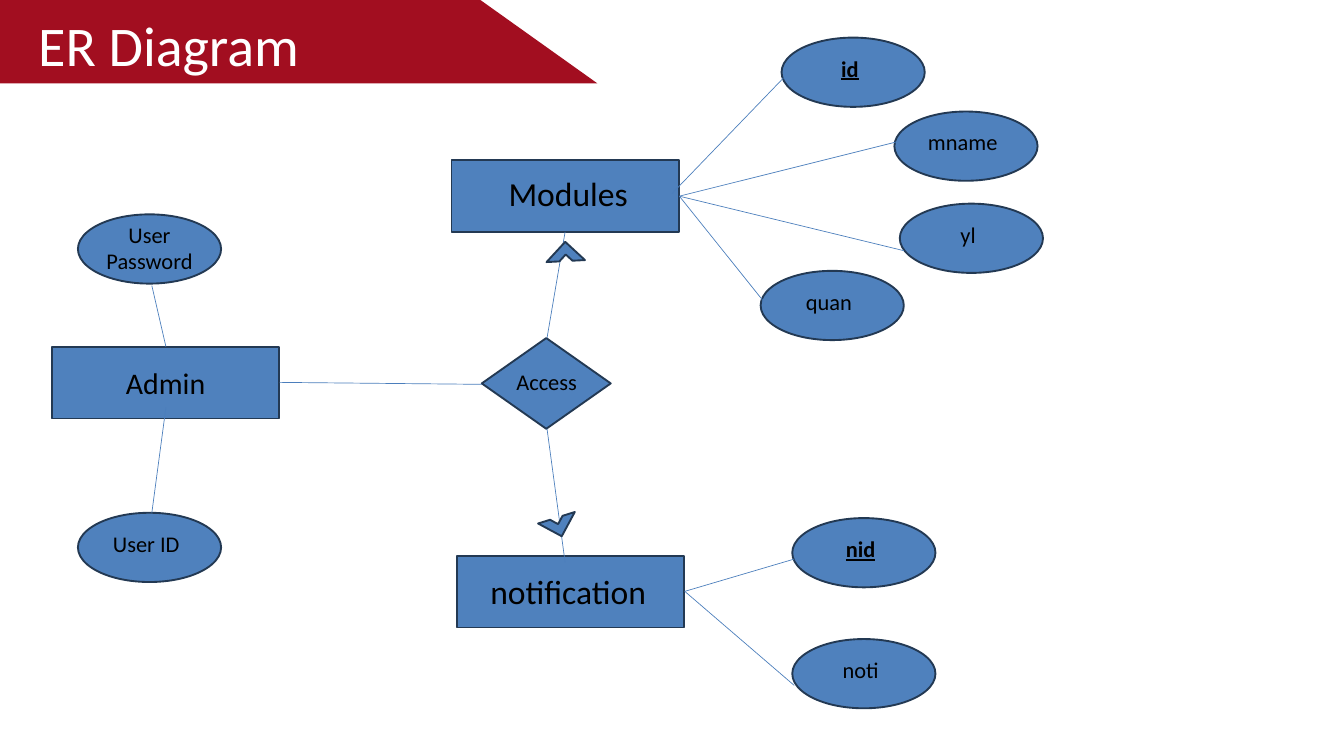
from dataclasses import dataclass

from lxml import etree
from pptx import Presentation
from pptx.dml.color import RGBColor
from pptx.enum.shapes import MSO_CONNECTOR, MSO_SHAPE
from pptx.enum.text import MSO_ANCHOR, PP_ALIGN
from pptx.oxml.ns import qn
from pptx.util import Pt

RECT, ELLIPSE = MSO_SHAPE.RECTANGLE, MSO_SHAPE.OVAL
DECISION, HALF_FRAME = MSO_SHAPE.FLOWCHART_DECISION, MSO_SHAPE.HALF_FRAME
STRAIGHT = MSO_CONNECTOR.STRAIGHT
TOP, MIDDLE = MSO_ANCHOR.TOP, MSO_ANCHOR.MIDDLE
LEFT, CENTER = PP_ALIGN.LEFT, PP_ALIGN.CENTER


@dataclass(frozen=True)
class Theme:
    font: str = "Calibri"
    banner: RGBColor = RGBColor(0xA2, 0x0E, 0x20)
    fill: RGBColor = RGBColor(0x4F, 0x81, 0xBD)
    outline: RGBColor = RGBColor(0x23, 0x39, 0x53)
    link: RGBColor = RGBColor(0x4B, 0x7E, 0xBC)
    ink: RGBColor = RGBColor(0, 0, 0)
    white: RGBColor = RGBColor(0xFF, 0xFF, 0xFF)
    title_size: int = 60
    entity_size: int = 36
    admin_size: int = 32
    label_size: int = 24


T = Theme()
ENTITY_SIZE, ENTITY_LABEL = (243.4, 77), (222.5, 53.3)
ATTR_SIZE, ATTR_LABEL = (153.4, 74.2), (141.8, 33.8)
ATTR_OFFSET = (2.3, 15.8)

# name, box position, label position, type size
ENTITIES = [
    ("Admin", (55.4, 371.5), (66.2, 383), T.admin_size),
    ("notification", (489.6, 595.4), (497.5, 607), T.entity_size),
    ("Modules", (483.8, 171.4), (497.5, 180.7), T.entity_size),
]
# name, position, is key, label offset
ATTRIBUTES = [
    ("User ID", (83.5, 549.4), False, ATTR_OFFSET),
    ("User Password", (83.5, 229.7), False, (5.8, 18.7)),
    ("noti", (848.9, 684.7), False, ATTR_OFFSET),
    ("nid", (848.9, 555.1), True, ATTR_OFFSET),
    ("quan", (815, 290.2), False, ATTR_OFFSET),
    ("id", (837.4, 40.3), True, ATTR_OFFSET),
    ("mname", (958.3, 119.5), False, ATTR_OFFSET),
    ("yl", (964.1, 218.2), False, ATTR_OFFSET),
]
MODULES_EDGE, NOTIFICATION_EDGE = (727.9, 210.2), (733.7, 633.6)
LINKS = [
    ((162.7, 306), (177.8, 371.5)),
    ((162.7, 549.4), (177.8, 436.3)),
    ((720, 207.4), (839.5, 83.5)),
    (MODULES_EDGE, (961.2, 151.9)),
    (MODULES_EDGE, (968.4, 268.6)),
    (MODULES_EDGE, (817.9, 322.6)),
    (NOTIFICATION_EDGE, (851, 599)),
    (NOTIFICATION_EDGE, (851, 734.4)),
    ((299.5, 409.7), (516.2, 411.8)),
    ((605.5, 248.4), (586.1, 362.2)),
    ((586.1, 459.4), (605.5, 602.6)),
]
# position, rotation
ARROWS = [((591.8, 265), 42.7), ((581.8, 540), 208.3)]


def add_node(s, kind, pos, size, rotation=0):
    sp = s.shapes.add_shape(kind, *map(Pt, pos + size))
    sp.shadow.inherit = False
    sp.rotation = rotation
    sp.fill.solid()
    sp.fill.fore_color.rgb = T.fill
    sp.line.color.rgb = T.outline
    sp.line.width = Pt(2)


def add_label(s, text, pos, size, pt, color=T.ink, key=False,
              align=CENTER, anchor=MIDDLE, inset=(7.2, 3.6), spacing=None):
    tf = s.shapes.add_textbox(*map(Pt, pos + size)).text_frame
    dx, dy = map(Pt, inset)
    frame = {"word_wrap": True, "vertical_anchor": anchor, "margin_left": dx,
             "margin_right": dx, "margin_top": dy, "margin_bottom": dy}
    for name, value in frame.items():
        setattr(tf, name, value)
    p = tf.paragraphs[0]
    p.alignment, p.line_spacing = align, spacing
    r = p.add_run()
    r.text = text
    font = {"name": T.font, "size": Pt(pt)}
    if key:
        font.update(bold=True, underline=True)
    for name, value in font.items():
        setattr(r.font, name, value)
    r.font.color.rgb = color


def add_link(s, start, end):
    line = s.shapes.add_connector(STRAIGHT, *map(Pt, start + end))
    line.line.color.rgb = T.link
    line.line.width = Pt(0.75)
    etree.SubElement(line._element.spPr, qn("a:effectLst"))


def add_banner(s):
    corners = [(-17.3, -23), (482.4, -23), (640, 89.3), (-175, 89.3)]
    start, *rest = [(Pt(x), Pt(y)) for x, y in corners]
    builder = s.shapes.build_freeform(*start)
    builder.add_line_segments(rest, close=True)
    sp = builder.convert_to_shape()
    sp.shadow.inherit = False
    sp.fill.solid()
    sp.fill.fore_color.rgb = T.banner
    sp.line.fill.background()
    add_label(s, "ER Diagram", (41, -10.8), (446.4, 94.3), T.title_size,
              color=T.white, align=LEFT, anchor=TOP, inset=(0, 0), spacing=1.3)


def main():
    prs = Presentation()
    prs.slide_width, prs.slide_height = Pt(1440), Pt(810)
    s = prs.slides.add_slide(prs.slide_layouts[6])
    add_banner(s)
    add_node(s, DECISION, (516.2, 362.2), (138.2, 97.2))
    add_label(s, "Access", (514.8, 391.7), ATTR_LABEL, T.label_size)
    for name, pos, label_pos, pt in ENTITIES:
        add_node(s, RECT, pos, ENTITY_SIZE)
        add_label(s, name, label_pos, ENTITY_LABEL, pt)
    for name, (x, y), key, (dx, dy) in ATTRIBUTES:
        add_node(s, ELLIPSE, (x, y), ATTR_SIZE)
        add_label(s, name, (x + dx, y + dy), ATTR_LABEL, T.label_size, key=key)
    for start, end in LINKS:
        add_link(s, start, end)
    for pos, rotation in ARROWS:
        add_node(s, HALF_FRAME, pos, (28.8, 29.5), rotation)
    prs.save("out.pptx")


if __name__ == "__main__":
    main()
